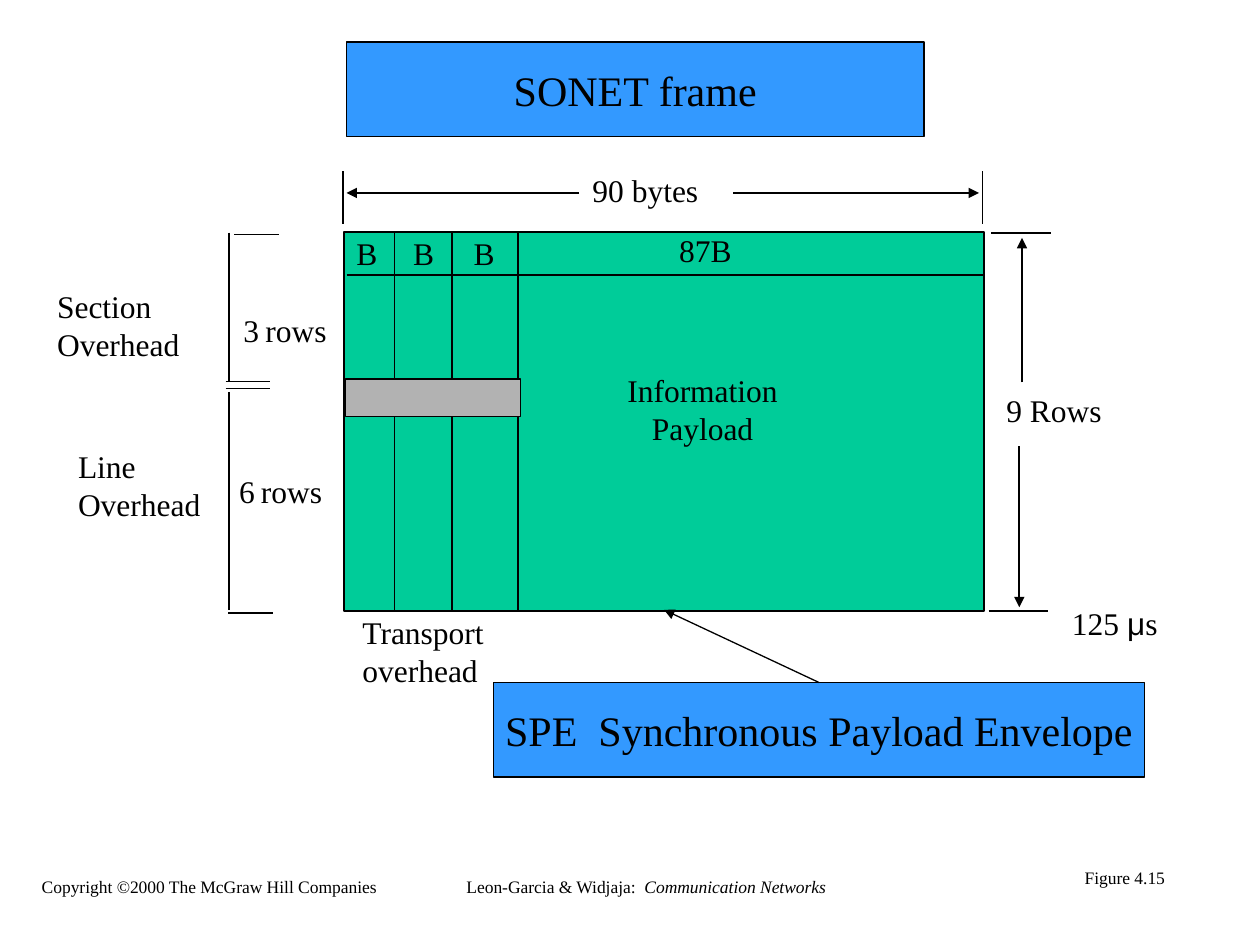
from lxml.etree import SubElement
from pptx import Presentation
from pptx.dml.color import RGBColor
from pptx.enum.shapes import MSO_CONNECTOR, MSO_SHAPE
from pptx.enum.text import MSO_ANCHOR, MSO_AUTO_SIZE, PP_ALIGN
from pptx.oxml.ns import qn
from pptx.util import Pt

BLACK = RGBColor(0x00, 0x00, 0x00)
GREEN = RGBColor(0x00, 0xCC, 0x99)
GRAY = RGBColor(0xB2, 0xB2, 0xB2)
BLUE = RGBColor(0x33, 0x99, 0xFF)
SERIF = "Times New Roman"

prs = Presentation()
prs.slide_width, prs.slide_height = Pt(720), Pt(540)
slide = prs.slides.add_slide(prs.slide_layouts[6])
shapes = slide.shapes


def add_line(x1, y1, x2, y2, arrow=False, width=1):
    """Draw a black line, with an arrowhead at its end if asked."""
    line = shapes.add_connector(MSO_CONNECTOR.STRAIGHT, Pt(x1), Pt(y1), Pt(x2), Pt(y2))
    line.line.color.rgb = BLACK
    line.line.width = Pt(width)
    if arrow:
        SubElement(line.line._get_or_add_ln(), qn("a:tailEnd"), type="triangle")
    SubElement(line._element.spPr, qn("a:effectLst"))
    return line


def add_label(left, top, width, height, paragraphs, size=18, align=PP_ALIGN.LEFT):
    """Add a text box; each paragraph is a list of run texts. Return its runs."""
    frame = shapes.add_textbox(Pt(left), Pt(top), Pt(width), Pt(height)).text_frame
    frame.word_wrap = False
    frame.auto_size = MSO_AUTO_SIZE.SHAPE_TO_FIT_TEXT
    for i, texts in enumerate(paragraphs):
        paragraph = frame.add_paragraph() if i else frame.paragraphs[0]
        paragraph.alignment = align
        paragraph.font.name, paragraph.font.size = SERIF, Pt(size)
        paragraph.font.color.rgb = BLACK
        for text in texts:
            paragraph.add_run().text = text
    return [run for paragraph in frame.paragraphs for run in paragraph.runs]


# Boxes: frame, gray overhead row, title and envelope
boxes = []
for left, top, width, height, color, weight, text in (
    (196.5, 132.5, 366, 216.5, GREEN, 1, ""),
    (197.5, 216.5, 100, 21.5, GRAY, 1, ""),
    (198, 24, 330, 54, BLUE, 0.75, "SONET frame"),
    (282, 390, 372, 54, BLUE, 0.75, "SPE  Synchronous Payload Envelope"),
):
    box = shapes.add_shape(MSO_SHAPE.RECTANGLE, Pt(left), Pt(top), Pt(width), Pt(height))
    box.shadow.inherit = False
    box.fill.solid()
    box.fill.fore_color.rgb = color
    box.line.color.rgb = BLACK
    box.line.width = Pt(weight)
    if text:
        box.text_frame.word_wrap = False
        box.text_frame.vertical_anchor = MSO_ANCHOR.MIDDLE
        caption = box.text_frame.paragraphs[0]
        caption.text = text
        caption.alignment = PP_ALIGN.CENTER
        caption.font.name, caption.font.size = SERIF, Pt(24)
        caption.font.color.rgb = BLACK
    boxes.append(box)
    if color == GREEN:
        # Header row and overhead columns, behind the gray row
        add_line(198, 157, 562.5, 157)
        for x in (225.5, 258.5, 296):
            add_line(x, 133, x, 348.5)
envelope = boxes[-1]

# Width dimension
for x in (196, 561.5):
    add_line(x, 98, x, 128)
add_line(331, 110.25, 198, 110.25, arrow=True)
add_line(419, 110.25, 559.5, 110.25, arrow=True)

# Height dimension
add_line(566.5, 133, 600.5, 133)
add_line(565, 349, 599, 349)
add_line(584, 218.5, 584, 136, arrow=True)
add_line(582.5, 255, 582.5, 347, arrow=True)

# Section and line overhead brackets
for top, bottom in ((133, 217.5), (224, 348.5)):
    add_line(131, top, 131, bottom)
for left, y in ((134, 134), (129, 218), (129, 222), (130.5, 350.5)):
    add_line(left, y, left + 25.5, y)

# Pointer from the envelope to the payload
pointer = add_line(468, 390, 379.5, 348.5, arrow=True, width=0.75)
pointer.begin_connect(envelope, 0)

# Labels
for left in (196.5, 229, 263.5):
    add_label(left, 130, 26.5, 29, [["B"]])
for left, top, width, text in (
    (381, 128.5, 44.5, "87B"),
    (331.5, 94, 75, "90 bytes"),
    (568, 220, 69, "9 Rows"),
):
    add_label(left, top, width, 29, [[text]])
for left, top, first, second in (
    (200, 347, "Transport", "overhead"),
    (25.5, 160.5, "Section", "Overhead"),
    (37.5, 252, "Line", "Overhead"),
):
    add_label(left, top, 84.5, 50.5, [[first], [second]])
add_label(348.5, 208.5, 106, 50.5, [["Information"], ["Payload"]], align=PP_ALIGN.CENTER)
for left, top, count in ((132, 174, "3"), (129.5, 266, "6")):
    gap = add_label(left, top, 62, 29, [[count, " ", "rows"]])[1]
    gap.font.size, gap.font.bold = Pt(14), True
micro = add_label(605.5, 341.5, 63.5, 29, [["125 ", "μ", "s"]])[1]
micro.font.name = "Arial"

# Footer
add_label(16.5, 497, 206, 19.5, [["Copyright ©2000 The McGraw Hill Companies"]],
          size=10, align=PP_ALIGN.CENTER)
book = add_label(259, 497, 220.5, 19.5,
                 [["Leon-Garcia & Widjaja:  ", "Communication Networks"]],
                 size=10, align=PP_ALIGN.CENTER)[1]
book.font.italic = True
add_label(612.5, 492, 60.5, 19.5, [["Figure 4.15"]], size=10, align=PP_ALIGN.CENTER)

prs.save("out.pptx")
